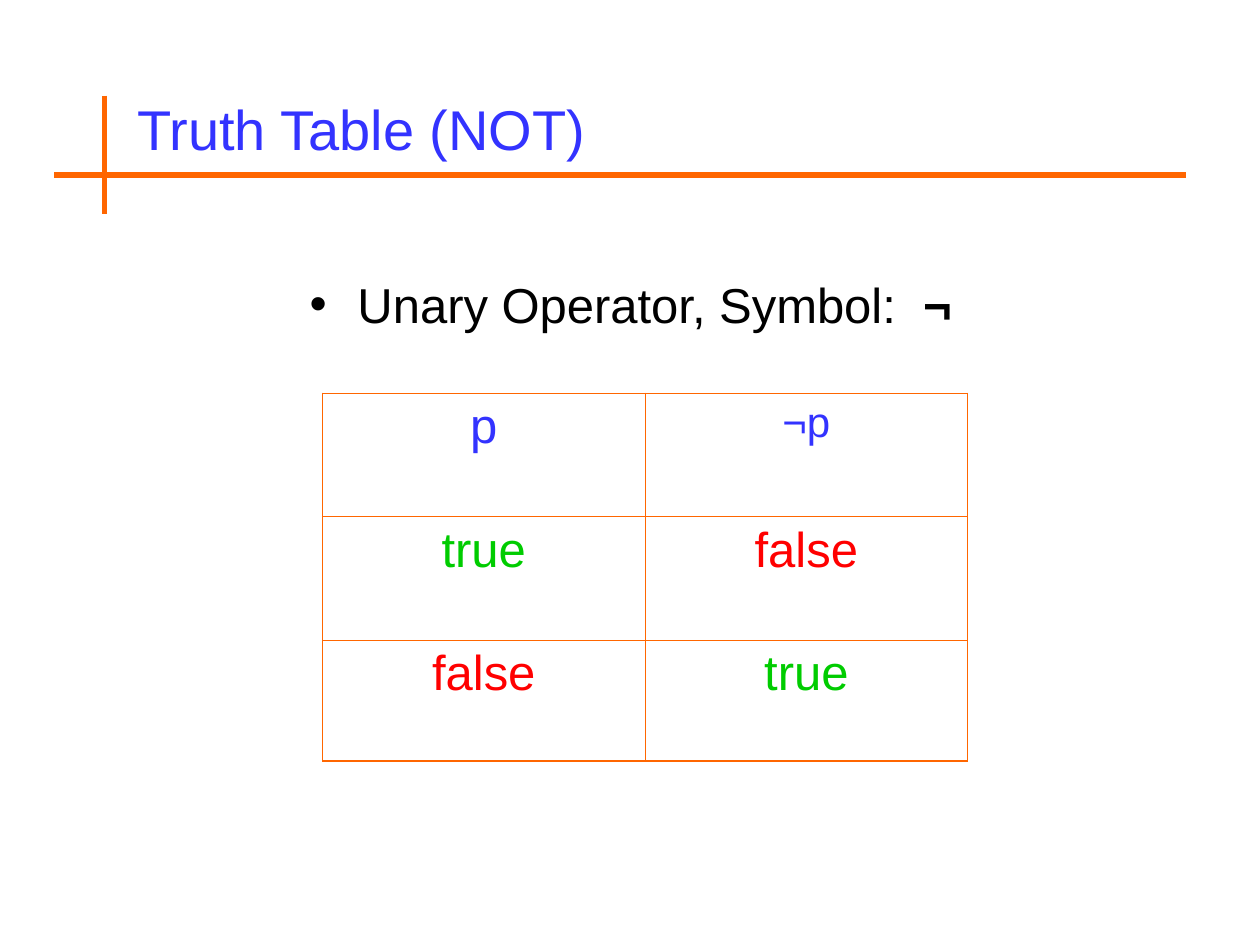
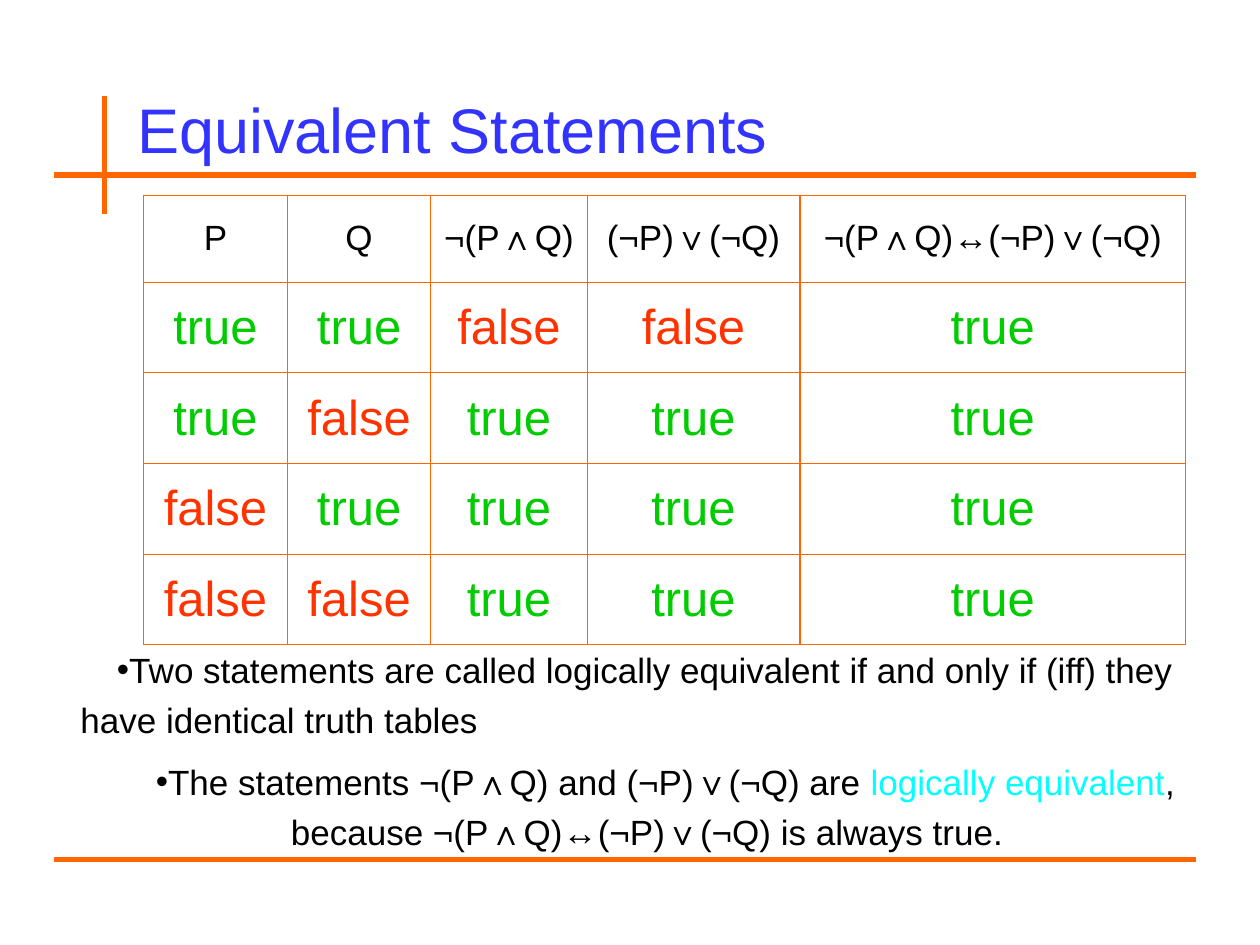
from lxml import etree
from pptx import Presentation
from pptx.dml.color import RGBColor
from pptx.enum import shapes, text
from pptx.oxml.ns import qn
from pptx.util import Inches, Pt

# Shared style
FONT = "Arial"
BLUE = RGBColor(0x33, 0x33, 0xFF)
ORANGE = RGBColor(0xFF, 0x66, 0x00)
GREEN = RGBColor(0x00, 0xCC, 0x00)
RED = RGBColor(0xFF, 0x00, 0x00)
VERMILION = RGBColor(0xFF, 0x33, 0x00)
CYAN = RGBColor(0x00, 0xFF, 0xFF)
BLACK = RGBColor(0x00, 0x00, 0x00)
WHITE = RGBColor(0xFF, 0xFF, 0xFF)
CENTER = text.PP_ALIGN.CENTER
TOP, MIDDLE = text.MSO_ANCHOR.TOP, text.MSO_ANCHOR.MIDDLE
RULE_LEFT, RULE_TOP, FOOT_TOP = 0.43, 1.39, 6.82
BOLD = {"bold": True}

# Content: a text is a string or a list of (words, format) runs
EQUIVALENCE = [("¬(P∧Q)", {}), ("↔", BOLD), ("(¬P)∨(¬Q)", {})]

NOT_SLIDE = {
    "title": "Truth Table (NOT)", "title_size": 32, "title_width": 5.27,
    "rule_right": 9.41, "foot_rule": False,
    "table": {
        "left": 2.56, "top": 3.12,
        "columns": [2.56] * 2, "rows": [0.98, 0.98, 0.96],
        "cells": [["p", "¬p"], ["true", "false"], ["false", "true"]],
        "header_color": BLUE, "header_sizes": [28, 24],
        "false_color": RED, "anchor": TOP, "fill": WHITE,
    },
    "box": (0.59, 2.13, 8.83, 0.92),
    "bullets": [
        ([("Unary Operator, Symbol:  ", {}), ("¬", BOLD)],
         {"size": 28, "align": CENTER, "before": 7, "margin": 0.38, "indent": -0.38}),
    ],
}

NOTE = {"size": 20, "before": 6.2, "line_spacing": 1.2, "margin": 0.23, "indent": 0.29}
EQUIVALENT_SLIDE = {
    "title": "Equivalent Statements", "title_size": 36, "title_width": 6.22,
    "rule_right": 9.49, "foot_rule": True,
    "table": {
        "left": 1.14, "top": 1.55,
        "columns": [1.14, 1.14, 1.24, 1.69, 3.06], "rows": [0.69] + [0.72] * 4,
        "cells": [
            ["P", "Q", "¬(P∧Q)", "(¬P)∨(¬Q)", EQUIVALENCE],
            ["true", "true", "false", "false", "true"],
            ["true", "false", "true", "true", "true"],
            ["false", "true", "true", "true", "true"],
            ["false", "false", "true", "true", "true"],
        ],
        "header_color": BLACK, "header_sizes": [20] * 5,
        "false_color": VERMILION, "anchor": MIDDLE, "fill": None,
    },
    "box": (0.31, 5.03, 9.42, 1.08),
    "bullets": [
        ("Two statements are called logically equivalent if and only if (iff) "
         "they have identical truth tables", NOTE),
        ([("The statements ¬(P∧Q) and (¬P)∨(¬Q) are ", {}),
          ("logically equivalent", {"color": CYAN}),
          (", because ", {}), *EQUIVALENCE, (" is always true.", {})],
         {**NOTE, "align": CENTER}),
    ],
}


def add_element(parent, tag, **attributes):
    return etree.SubElement(parent, qn(tag), attributes)


def write_text(frame, content, *, size, color=BLACK, align=text.PP_ALIGN.LEFT,
               before=0, line_spacing=None, margin=0, indent=0, bullet=False):
    """Fill the first empty paragraph of the frame, or a new one."""
    paragraph = frame.paragraphs[-1]
    if paragraph.runs:
        paragraph = frame.add_paragraph()
    paragraph.alignment = align
    paragraph.space_before = Pt(before)
    if line_spacing:
        paragraph.line_spacing = line_spacing
    if bullet:
        properties = paragraph._p.get_or_add_pPr()
        properties.set("marL", str(Inches(margin)))
        properties.set("indent", str(Inches(indent)))
        add_element(add_element(properties, "a:buClr"), "a:srgbClr", val=str(BLACK))
        add_element(properties, "a:buFont", typeface=FONT)
        add_element(properties, "a:buChar", char="•")
    runs = [(content, {})] if isinstance(content, str) else content
    for words, run_format in runs:
        run = paragraph.add_run()
        run.text = words
        run.font.name = FONT
        run.font.size = Pt(size)
        run.font.bold = run_format.get("bold", False)
        run.font.color.rgb = run_format.get("color", color)


def add_rule(slide, x1, y1, x2, y2):
    points = [Inches(value) for value in (x1, y1, x2, y2)]
    rule = slide.shapes.add_connector(shapes.MSO_CONNECTOR.STRAIGHT, *points)
    rule.line.color.rgb = ORANGE
    rule.line.width = Pt(3)
    add_element(rule._element.spPr, "a:effectLst")


def add_title(slide, words, size, width):
    title = slide.shapes.title
    title.left, title.top = Inches(0.99), Inches(0.64)
    title.width, title.height = Inches(width), Inches(0.75)
    frame = title.text_frame
    frame.auto_size = text.MSO_AUTO_SIZE.NONE
    frame.word_wrap = True
    frame.vertical_anchor = MIDDLE
    write_text(frame, words, size=size, color=BLUE)


def add_borders(cell):
    properties = cell._tc.get_or_add_tcPr()
    for side in ("a:lnL", "a:lnR", "a:lnT", "a:lnB"):
        border = add_element(properties, side, w=str(Pt(0.75)))
        add_element(add_element(border, "a:solidFill"), "a:srgbClr", val=str(ORANGE))


def add_truth_table(slide, data):
    columns, rows = data["columns"], data["rows"]
    table = slide.shapes.add_table(
        len(rows), len(columns), Inches(data["left"]), Inches(data["top"]),
        Inches(sum(columns)), Inches(sum(rows))).table
    table.first_row = table.horz_banding = False
    for column, width in zip(table.columns, columns):
        column.width = Inches(width)
    for row, height in zip(table.rows, rows):
        row.height = Inches(height)

    value_colors = {"true": GREEN, "false": data["false_color"]}
    for row_index, values in enumerate(data["cells"]):
        for column_index, value in enumerate(values):
            cell = table.cell(row_index, column_index)
            cell.vertical_anchor = data["anchor"]
            add_borders(cell)
            if data["fill"] is None:
                cell.fill.background()
            else:
                cell.fill.solid()
                cell.fill.fore_color.rgb = data["fill"]
            if row_index == 0:
                size, color = data["header_sizes"][column_index], data["header_color"]
            else:
                size, color = 28, value_colors[value]
            write_text(cell.text_frame, value, size=size, color=color,
                       align=CENTER, before=size // 4)


def add_bullets(slide, box, bullets):
    frame = slide.shapes.add_textbox(*[Inches(value) for value in box]).text_frame
    frame.word_wrap = True
    for content, paragraph_format in bullets:
        write_text(frame, content, bullet=True, **paragraph_format)


def build_slide(presentation, data):
    slide = presentation.slides.add_slide(presentation.slide_layouts[5])
    add_title(slide, data["title"], data["title_size"], data["title_width"])
    add_truth_table(slide, data["table"])
    add_bullets(slide, data["box"], data["bullets"])
    # Crossed title rules and the optional foot rule
    add_rule(slide, RULE_LEFT, RULE_TOP, data["rule_right"], RULE_TOP)
    add_rule(slide, 0.83, 0.76, 0.83, 1.7)
    if data["foot_rule"]:
        add_rule(slide, RULE_LEFT, FOOT_TOP, data["rule_right"], FOOT_TOP)


def main():
    presentation = Presentation()
    presentation.slide_width, presentation.slide_height = Inches(10), Inches(7.5)
    for data in (NOT_SLIDE, EQUIVALENT_SLIDE):
        build_slide(presentation, data)
    presentation.save("out.pptx")


if __name__ == "__main__":
    main()
